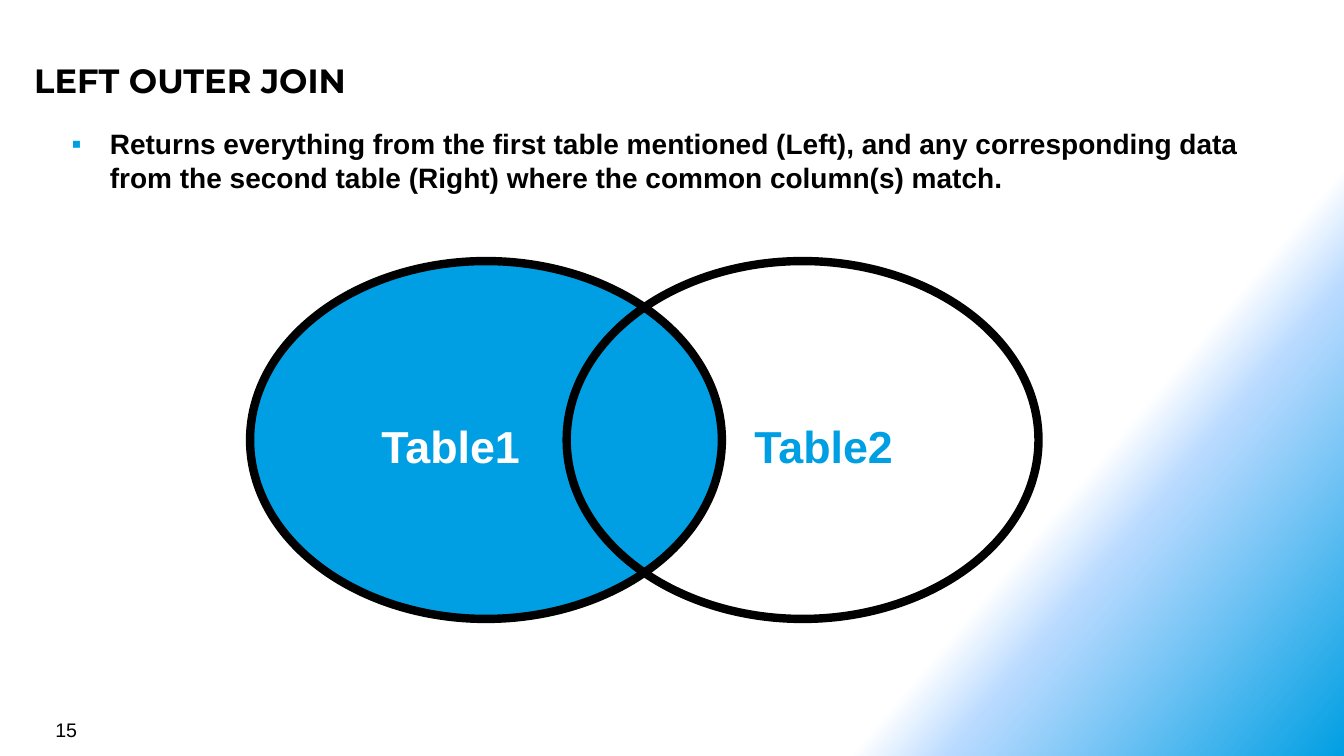
from math import acos, cos, pi, sin
from lxml.etree import SubElement
from pptx import Presentation
from pptx.dml.color import RGBColor
from pptx.enum.shapes import MSO_SHAPE as Shape
from pptx.enum.text import PP_ALIGN as Align
from pptx.oxml import parse_xml
from pptx.oxml.ns import nsdecls, qn
from pptx.util import Inches, Pt

BLUE, BLACK, WHITE = "009FE3", "000000", "FFFFFF"


def tint(code):
    """Turn a hex string into a colour."""
    return RGBColor.from_string(code)


def paint(slide):
    """Shade the lower right corner of the background."""
    stops = [(75, WHITE, 100), (80, "B9DAFF", 50), (100, BLUE, 100)]
    marks = "".join(
        f'<a:gs pos="{pos * 1000}"><a:srgbClr val="{code}">'
        f'<a:alpha val="{alpha * 1000}"/></a:srgbClr></a:gs>'
        for pos, code, alpha in stops)
    fill = slide.background.fill
    fill.solid()
    props = slide._element.cSld.find(qn("p:bg")).find(qn("p:bgPr"))
    props.replace(props.find(qn("a:solidFill")), parse_xml(
        f'<a:gradFill {nsdecls("a")} rotWithShape="1"><a:gsLst>{marks}</a:gsLst>'
        f'<a:lin ang="{40 * 60000}" scaled="0"/></a:gradFill>'))


def write(slide, box, text, size, color=BLACK, face="Arial", bold=True,
          align=Align.LEFT, inset=(0.1, 0.05), mark=None):
    """Add a text box with one paragraph, bulleted if a mark is given."""
    shape = slide.shapes.add_textbox(*map(Inches, box))
    frame = shape.text_frame
    frame.word_wrap = True
    frame.margin_left = frame.margin_right = Inches(inset[0])
    frame.margin_top = frame.margin_bottom = Inches(inset[1])
    para = frame.paragraphs[0]
    para.text = text
    para.alignment = align
    if mark:
        props = para._p.get_or_add_pPr()
        props.set("marL", str(Inches(0.38)))
        props.set("indent", str(-Inches(0.38)))
        SubElement(SubElement(props, qn("a:buClr")), qn("a:srgbClr")).set("val", BLUE)
        SubElement(props, qn("a:buFont")).set("typeface", "Arial")
        SubElement(props, qn("a:buChar")).set("char", mark)
    font = para.font
    font.name, font.size, font.bold = face, Pt(size), bold
    font.color.rgb = tint(color)
    return shape


def arc(mid, radii, start, end, steps=40):
    """List the points along part of an ellipse."""
    turns = [start + (end - start) * i / steps for i in range(steps + 1)]
    return [(Inches(mid[0] + radii[0] * cos(t)), Inches(mid[1] + radii[1] * sin(t)))
            for t in turns]


def patch(slide, points):
    """Fill a closed outline with blue."""
    pen = slide.shapes.build_freeform(*points[0])
    pen.add_line_segments(points[1:], close=True)
    shape = pen.convert_to_shape()
    shape.shadow.inherit = False
    shape.fill.solid()
    shape.fill.fore_color.rgb = tint(BLUE)
    shape.line.fill.background()


def ring(slide, box):
    """Draw a thick empty ellipse."""
    shape = slide.shapes.add_shape(Shape.OVAL, *map(Inches, box))
    shape.shadow.inherit = False
    shape.fill.background()
    shape.line.color.rgb = tint(BLACK)
    shape.line.width = Pt(6)


def venn(slide, box):
    """Draw two crossing ellipses with the left one filled."""
    left, top, width, height = box
    wide, shift = 4.68, width - 4.68
    radii = wide / 2, height / 2
    one = left + radii[0], top + radii[1]
    two = one[0] + shift, one[1]
    turn = acos(shift / wide)
    patch(slide, arc(one, radii, turn, 2 * pi - turn)
          + arc(two, radii, pi + turn, pi - turn))
    patch(slide, arc(one, radii, -turn, turn)
          + arc(two, radii, pi - turn, pi + turn))
    ring(slide, (left + shift, top, wide, height))
    row = top + 1.52
    write(slide, (left + 4.83, row, 1.72, 0.64), "Table2", 32, BLUE, align=Align.CENTER)
    label = write(slide, (left + 1.04, row, 1.9, 0.64), "Table1", 32, WHITE,
                  align=Align.CENTER)
    label.fill.solid()
    label.fill.fore_color.rgb = tint(BLUE)
    ring(slide, (left, top, wide, height))


def main():
    """Build and save the slide."""
    deck = Presentation()
    deck.slide_width, deck.slide_height = Inches(13.33), Inches(7.5)
    slide = deck.slides.add_slide(deck.slide_layouts[6])
    paint(slide)
    write(slide, (0.63, 1.18, 12.14, 0.83),
          "Returns everything from the first table mentioned (Left), and any "
          "corresponding data from the second table (Right) where the common "
          "column(s) match.", 20, inset=(0.08, 0.08), mark="▪")
    write(slide, (0.26, 0.51, 12.26, 0.55), "LEFT OUTER JOIN", 24,
          face="Montserrat", inset=(0.08, 0.08))
    venn(slide, (2.48, 2.59, 7.82, 3.55))
    write(slide, (0.45, 7.07, 3.11, 0.33), "15", 14, bold=False)
    deck.save("out.pptx")


if __name__ == "__main__":
    main()
